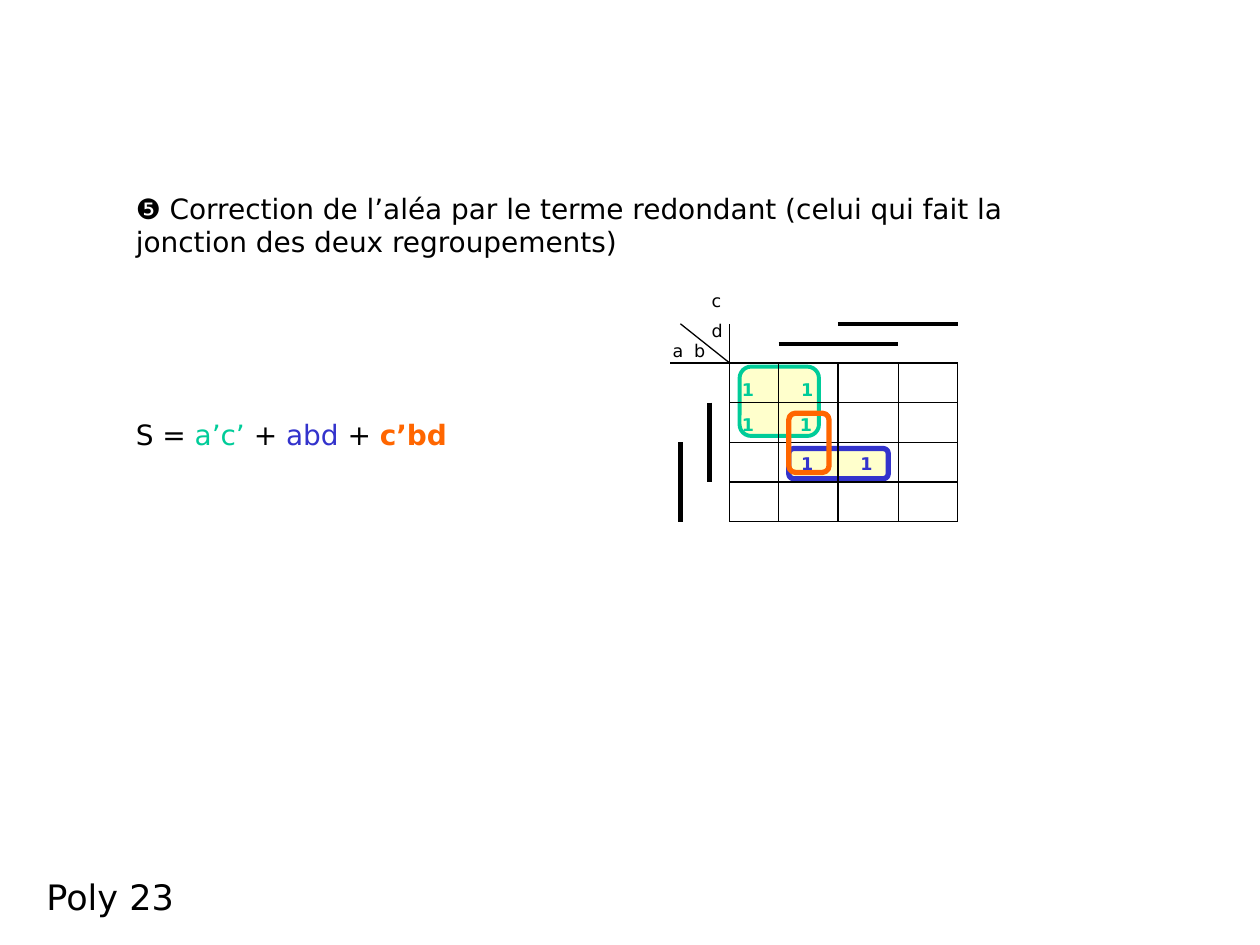
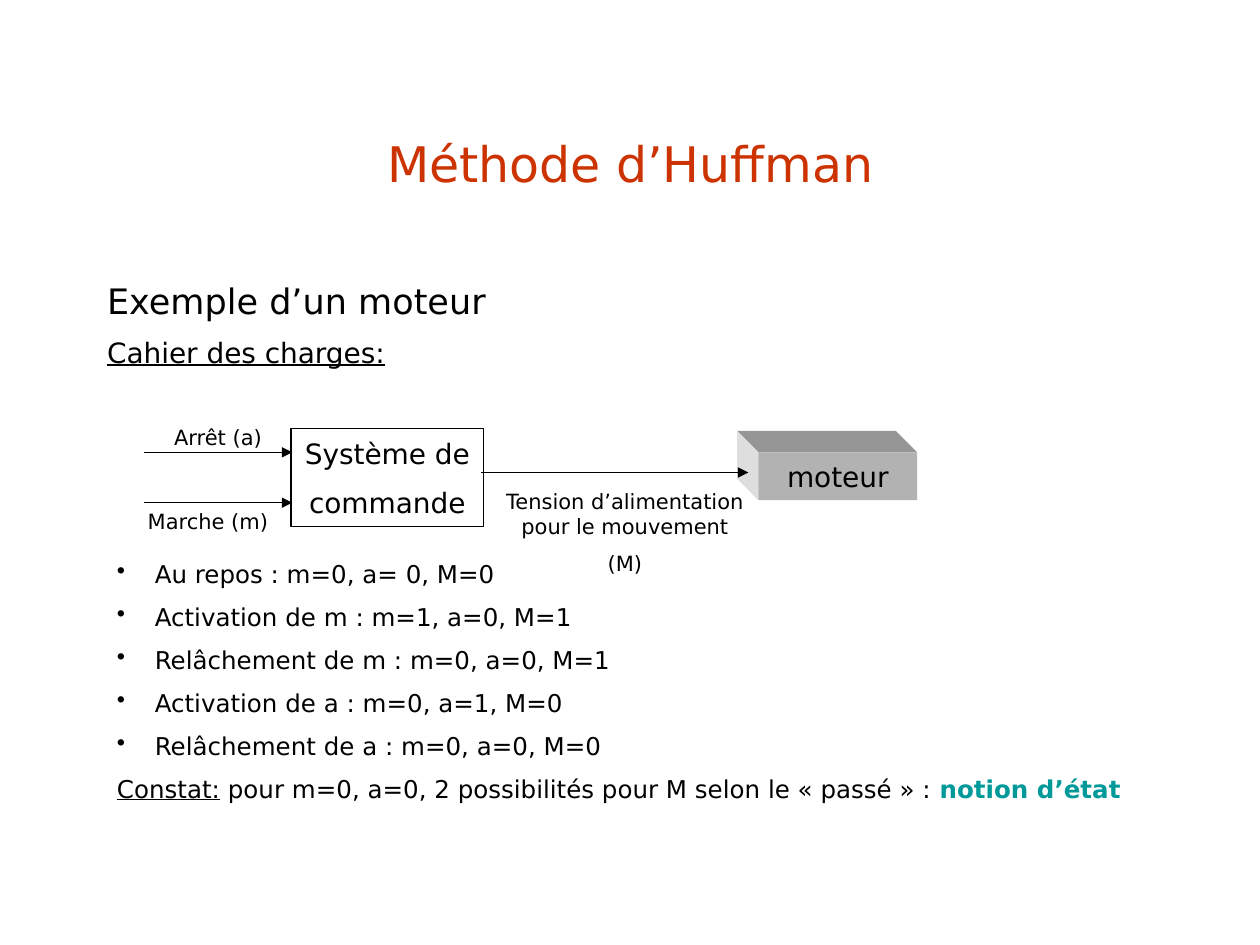
import pptx
import pptx.util
import pptx.dml.color
import pptx.enum.text
import pptx.enum.shapes
from lxml import etree
from pptx.oxml.ns import qn

Inches = pptx.util.Inches
Pt = pptx.util.Pt
Align = pptx.enum.text.PP_ALIGN
Anchor = pptx.enum.text.MSO_ANCHOR
Kind = pptx.enum.shapes.MSO_SHAPE

FONT = "DejaVu Sans"
INK, RED, TEAL = "000000", "CC3300", "009999"
GREEN, BLUE, ORANGE, CREAM = "00CC99", "3333CC", "FF6600", "FFFFCC"
FRONT, TOP, SIDE = "B2B2B2", "969696", "DEDEDE"
BASE = {"name": FONT, "color": INK}
GAP = 0.55


def tint(code):
    return pptx.dml.color.RGBColor.from_string(code)


def style(font, form):
    for key, value in form.items():
        if key == "color":
            font.color.rgb = tint(value)
        elif key == "size":
            font.size = Pt(value)
        else:
            setattr(font, key, value)


def mark(par, bullet, indent=0):
    props = par._p.get_or_add_pPr()
    props.set("marL", str(Inches(indent)))
    props.set("indent", str(-Inches(indent)))
    if bullet:
        etree.SubElement(props, qn("a:buChar")).set("char", bullet)
    else:
        etree.SubElement(props, qn("a:buNone"))


def write(frame, paras, size, gap=None, align=Align.LEFT, **form):
    frame.word_wrap = True
    for num, runs in enumerate(paras):
        par = frame.add_paragraph() if num else frame.paragraphs[0]
        par.alignment = align
        par.space_before = Pt((size * GAP if gap is None else gap) if num else 0)
        for words, extra in [(runs, {})] if isinstance(runs, str) else runs:
            run = par.add_run()
            run.text = words
            style(run.font, {**BASE, "size": size, **form, **extra})


def label(slide, box, paras, size, **form):
    frame = slide.shapes.add_textbox(*map(Inches, box)).text_frame
    write(frame, paras, size, **form)
    return frame


def paint(shape, fill, line=None, width=0.75):
    shape.shadow.inherit = False
    if fill:
        shape.fill.solid()
        shape.fill.fore_color.rgb = tint(fill)
    else:
        shape.fill.background()
    if line:
        shape.line.color.rgb = tint(line)
        shape.line.width = Pt(width)
    else:
        shape.line.fill.background()


def block(slide, kind, box, fill, line=None, width=0.75):
    shape = slide.shapes.add_shape(kind, *map(Inches, box))
    paint(shape, fill, line, width)
    return shape


def face(slide, points, fill):
    start, *rest = [(Inches(x), Inches(y)) for x, y in points]
    build = slide.shapes.build_freeform(*start)
    build.add_line_segments(rest)
    paint(build.convert_to_shape(), fill)


def wire(slide, ends, width=0.75, arrow=False):
    link = slide.shapes.add_connector(
        pptx.enum.shapes.MSO_CONNECTOR.STRAIGHT, *map(Inches, ends))
    link.line.color.rgb = tint(INK)
    link.line.width = Pt(width)
    if arrow:
        etree.SubElement(link.line._ln, qn("a:tailEnd")).set("type", "triangle")
    etree.SubElement(link._element.spPr, qn("a:effectLst"))


def table_map(slide, left, top):
    cols = [0, 0.39, 0.86, 1.34, 1.81]
    rows = [1.26 * num / 4 for num in range(5)]
    wide, high = cols[-1], rows[-1]

    def group(x, y, w, h, fill, line, width):
        block(slide, Kind.ROUNDED_RECTANGLE, (left + x, top + y, w, h),
              fill, line, width)

    def rule(x1, y1, x2, y2, width=0.75):
        wire(slide, (left + x1, top + y1, left + x2, top + y2), width)

    def note(x, y, paras, **form):
        label(slide, (left + x, top + y, 0.32, 0.27), paras, 10, **form)

    group(0.47, 0.68, 0.79, 0.24, CREAM, BLUE, 3)
    group(0.08, 0.03, 0.63, 0.55, CREAM, GREEN, 2.25)
    for x in cols:
        rule(x, 0 if x else -0.31, x, high)
    for y in rows:
        rule(0 if y else -0.47, y, wide, y)
    rule(cols[2], -0.31, wide, -0.31, 2.25)
    rule(cols[1], -0.15, cols[3], -0.15, 2.25)
    rule(-0.39, rows[2], -0.39, high, 3)
    rule(-0.16, rows[1], -0.16, rows[3], 3)
    rule(0, 0, -0.39, -0.31)

    note(-0.55, -0.23, ["a"])
    note(-0.38, -0.23, ["b"])
    note(-0.24, -0.63, ["c", "d"])
    group(0.47, 0.40, 0.32, 0.47, None, ORANGE, 3)
    for x, y, color in [(0, 0.08, GREEN), (0.47, 0.08, GREEN),
                        (0, 0.36, GREEN), (0.46, 0.36, GREEN),
                        (0.47, 0.67, BLUE), (0.94, 0.67, BLUE)]:
        note(x, y, ["1"], color=color, bold=True)


def motor(slide, x, y, w, h, deep):
    face(slide, [(x, y), (x - deep, y - deep), (x + w - deep, y - deep),
                 (x + w, y)], TOP)
    face(slide, [(x, y), (x - deep, y - deep), (x - deep, y + h - deep),
                 (x, y + h)], SIDE)
    front = block(slide, Kind.RECTANGLE, (x, y, w, h), FRONT)
    front.text_frame.vertical_anchor = Anchor.MIDDLE
    write(front.text_frame, ["moteur"], 16, align=Align.CENTER)


def scheme(slide, x, y):
    unit = block(slide, Kind.RECTANGLE, (x + 1.17, y, 1.53, 0.78), None, INK)
    unit.text_frame.vertical_anchor = Anchor.MIDDLE
    write(unit.text_frame, ["Système de", "commande"], 16, align=Align.CENTER)
    motor(slide, x + 4.88, y + 0.19, 1.26, 0.38, 0.17)
    for start, end, down in [(0, 1.18, 0.19), (0, 1.18, 0.59), (2.68, 4.8, 0.35)]:
        wire(slide, (x + start, y + down, x + end, y + down), arrow=True)
    for dx, dy, w, h, paras in [
            (2.68, 0.43, 2.28, 0.8,
             ["Tension d’alimentation pour le mouvement", "(M)"]),
            (0.08, -0.08, 1.02, 0.3, ["Arrêt (a)"]),
            (-0.08, 0.59, 1.18, 0.3, ["Marche (m)"])]:
        label(slide, (x + dx, y + dy, w, h), paras, 12, align=Align.CENTER)


def place(shape, box):
    for key, value in zip(("left", "top", "width", "height"), box):
        setattr(shape, key, Inches(value))
    shape.text_frame.auto_size = pptx.enum.text.MSO_AUTO_SIZE.NONE
    return shape.text_frame


def hazard(deck):
    slide = deck.slides.add_slide(deck.slide_layouts[6])
    label(slide, (0.98, 1.47, 8.03, 2.64), [
        "❺ Correction de l’aléa par le terme redondant (celui qui fait la "
        "jonction des deux regroupements)",
        [("S = ", {}), ("a’c’", {"color": GREEN}), (" + ", {}),
         ("abd ", {"color": BLUE}), ("+ ", {}),
         ("c’bd", {"color": ORANGE, "bold": True})]], 16, gap=91)
    table_map(slide, 5.79, 2.88)
    label(slide, (0.27, 6.9, 1.42, 0.44), ["Poly 23"], 20)


def method(deck):
    slide = deck.slides.add_slide(deck.slide_layouts[1])
    title = place(slide.shapes.title, (0.75, 0.67, 8.5, 1.25))
    title.vertical_anchor = Anchor.MIDDLE
    write(title, ["Méthode d’Huffman"], 28, align=Align.CENTER, color=RED)
    body = place(slide.placeholders[1], (0.75, 2.17, 8.5, 4.5))
    write(body, ["Exemple d’un moteur",
                 [("Cahier des charges:", {"size": 16, "underline": True})]],
          20, gap=8)
    for par in body.paragraphs:
        mark(par, None)
    scheme(slide, 1.14, 3.4)
    cases = label(slide, (0.83, 4.39, 8.35, 2.43), [
        "Au repos : m=0, a= 0, M=0",
        "Activation de m : m=1, a=0, M=1",
        "Relâchement de m : m=0, a=0, M=1",
        "Activation de a : m=0, a=1, M=0",
        "Relâchement de a : m=0, a=0, M=0",
        [("Constat:", {"underline": True}),
         (" pour m=0, a=0, 2 possibilités pour M selon le « passé » : ", {}),
         ("notion d’état", {"color": TEAL, "bold": True})]], 14)
    for par in cases.paragraphs[:-1]:
        mark(par, "•", 0.3)


def main():
    deck = pptx.Presentation()
    deck.slide_width, deck.slide_height = Inches(10), Inches(7.5)
    hazard(deck)
    method(deck)
    deck.save("out.pptx")


if __name__ == "__main__":
    main()
